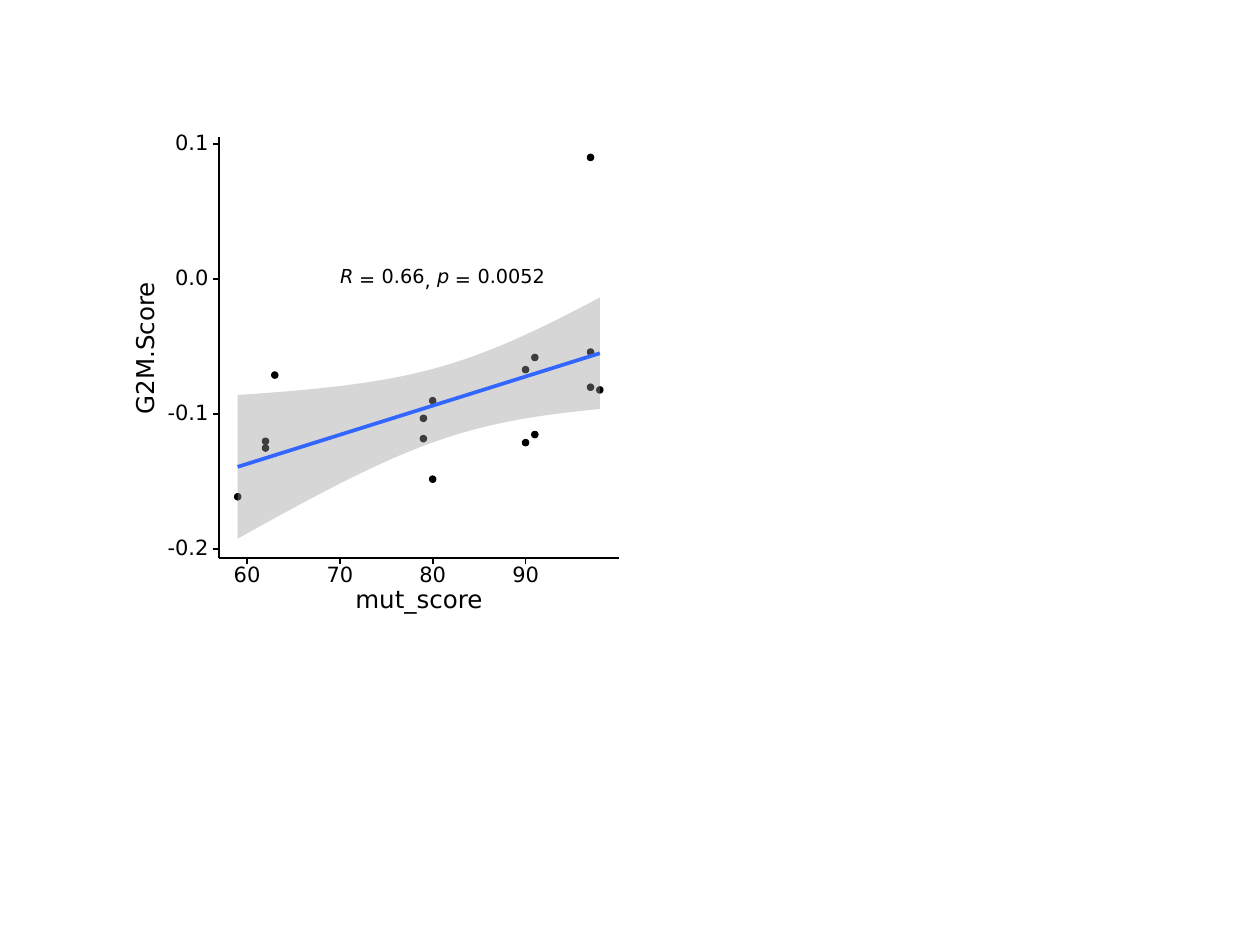
import math

from lxml import etree
from pptx import Presentation
from pptx import util as u
from pptx.dml.color import RGBColor
from pptx.enum import shapes, text
from pptx.oxml import ns

PX = 9144
BLACK = RGBColor(0x00, 0x00, 0x00)
WHITE = RGBColor(0xFF, 0xFF, 0xFF)
GREY = RGBColor(0x99, 0x99, 0x99)
BLUE = RGBColor(0x33, 0x66, 0xFF)

SCORES = [
    (63, -0.071), (80, -0.09), (91, -0.058), (97, 0.09),
    (62, -0.125), (79, -0.103), (90, -0.121), (97, -0.08),
    (62, -0.12), (80, -0.148), (91, -0.115), (98, -0.082),
    (59, -0.161), (79, -0.118), (90, -0.067), (97, -0.054),
]
T_VALUE = 2.14
BAND_STEPS = 79
AXIS_LEFT, AXIS_RIGHT, AXIS_TOP, AXIS_BOTTOM = 174, 491, 109, 443
TICK = 5


def emu(px):
    return u.Emu(round(px * PX))


def x_px(value):
    return 196 + (value - 60) * 7.37


def y_px(value):
    return 221.5 - value * 1073


class Plot:
    font = {"name": "DejaVu Sans"}
    frame = {
        "margin_left": 0, "margin_top": 0, "margin_right": 0, "margin_bottom": 0,
        "word_wrap": False, "vertical_anchor": text.MSO_ANCHOR.MIDDLE,
    }

    def __init__(self, slide):
        self.shapes = slide.shapes.add_group_shape().shapes

    def shape(self, kind, x, y, w, h, color, line_width):
        sp = self.shapes.add_shape(kind, *map(emu, (x, y, w, h)))
        sp.shadow.inherit = False
        sp.fill.solid()
        sp.fill.fore_color.rgb = color
        sp.line.color.rgb = color
        sp.line.width = u.Pt(line_width)

    def dot(self, x, y, size=5):
        self.shape(shapes.MSO_SHAPE.OVAL, x - size / 2, y - size / 2, size, size, BLACK, 0.71)

    def line(self, x1, y1, x2, y2, color=BLACK, width=1.07):
        sp = self.shapes.add_connector(
            shapes.MSO_CONNECTOR.STRAIGHT, *map(emu, (x1, y1, x2, y2)))
        sp.line.color.rgb = color
        sp.line.width = u.Pt(width)
        etree.SubElement(sp._element.spPr, ns.qn("a:effectLst"))

    def area(self, points, color, opacity):
        start, *rest = [(emu(x), emu(y)) for x, y in points]
        builder = self.shapes.build_freeform(*start, scale=1.0)
        builder.add_line_segments(rest, close=True)
        sp = builder.convert_to_shape()
        sp.shadow.inherit = False
        sp.fill.solid()
        sp.fill.fore_color.rgb = color
        sp.line.fill.background()
        rgb = sp._element.spPr.find(ns.qn("a:solidFill"))[0]
        etree.SubElement(rgb, ns.qn("a:alpha"), val=str(opacity * 1000))

    def label(self, words, x, y, w, h, size, italic=False, rotation=0):
        sp = self.shapes.add_textbox(*map(emu, (x, y, w, h)))
        sp.rotation = rotation
        tf = sp.text_frame
        for key, value in self.frame.items():
            setattr(tf, key, value)
        p = tf.paragraphs[0]
        p.line_spacing = u.Pt(size)
        r = p.add_run()
        r.text = words
        for key, value in {**self.font, "size": u.Pt(size), "italic": italic}.items():
            setattr(r.font, key, value)
        r.font.color.rgb = BLACK


def draw_regression(plot):
    xs, ys = zip(*SCORES)
    n = len(xs)
    x_mean, y_mean = sum(xs) / n, sum(ys) / n
    sxx = sum((x - x_mean) ** 2 for x in xs)
    slope = sum((x - x_mean) * (y - y_mean) for x, y in SCORES) / sxx

    def fit(x):
        return y_mean + slope * (x - x_mean)

    error = math.sqrt(sum((y - fit(x)) ** 2 for x, y in SCORES) / (n - 2))

    def margin(x):
        return T_VALUE * error * math.sqrt(1 / n + (x - x_mean) ** 2 / sxx)

    low, high = min(xs), max(xs)
    grid = [low + (high - low) * i / BAND_STEPS for i in range(BAND_STEPS + 1)]
    upper = [(x_px(x), y_px(fit(x) + margin(x))) for x in grid]
    lower = [(x_px(x), y_px(fit(x) - margin(x))) for x in reversed(grid)]
    plot.area(upper + lower, GREY, 40)
    plot.line(x_px(low), y_px(fit(low)), x_px(high), y_px(fit(high)), BLUE, 2.13)


def main():
    prs = Presentation()
    prs.slide_width, prs.slide_height = emu(1000), emu(750)
    plot = Plot(prs.slides.add_slide(prs.slide_layouts[6]))

    plot.shape(shapes.MSO_SHAPE.RECTANGLE, 100, 100, 400, 400, WHITE, 0.75)
    for x, y in SCORES:
        plot.dot(x_px(x), y_px(y))
    draw_regression(plot)

    for words, x, y, w, h, italic in [
        ("R", 270, 215, 13, 11, True),
        ("=", 285, 221, 15, 4, False),
        ("0.66", 303, 214, 37, 12, False),
        (",", 337, 222, 7, 4, False),
        ("p", 347, 214, 12, 12, True),
        ("=", 361, 221, 15, 4, False),
        ("0.0052", 379, 214, 57, 12, False),
    ]:
        plot.label(words, x, y, w, h, 11, italic)

    plot.line(AXIS_LEFT, AXIS_BOTTOM, AXIS_LEFT, AXIS_TOP)
    for value in (-0.2, -0.1, 0.0, 0.1):
        y, x = y_px(value), 133 if value < 0 else 139
        plot.label(f"{value:.1f}", x, y - 6.5, 168 - x, 13, 12)
        plot.line(AXIS_LEFT - TICK, y, AXIS_LEFT, y)

    plot.line(AXIS_LEFT, AXIS_BOTTOM, AXIS_RIGHT, AXIS_BOTTOM)
    for value in range(60, 100, 10):
        x = x_px(value)
        plot.line(x, AXIS_BOTTOM + TICK, x, AXIS_BOTTOM)
        plot.label(str(value), x - 10.5, 451, 24, 13, 12)

    plot.label("mut_score", 282, 468, 105, 18, 14)
    plot.label("G2M.Score", 62, 267, 109, 15, 14, rotation=270)
    prs.save("out.pptx")


if __name__ == "__main__":
    main()
